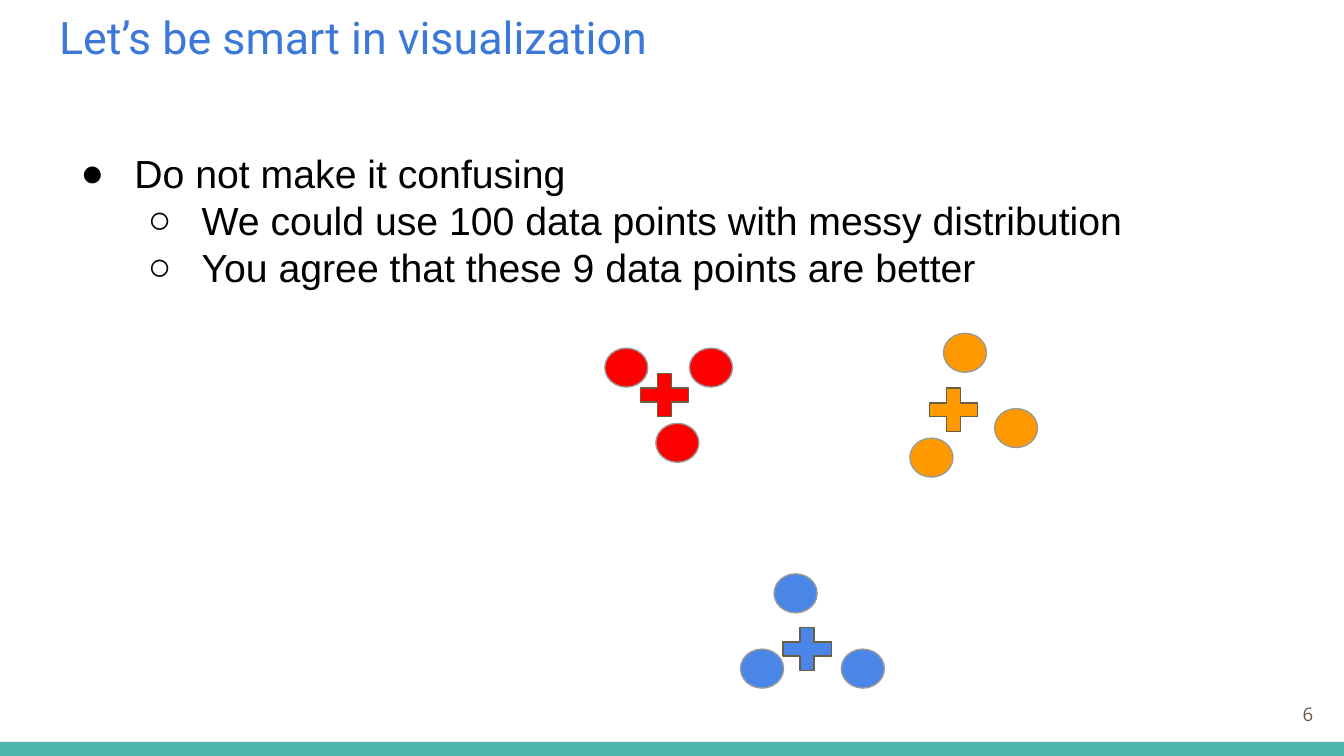
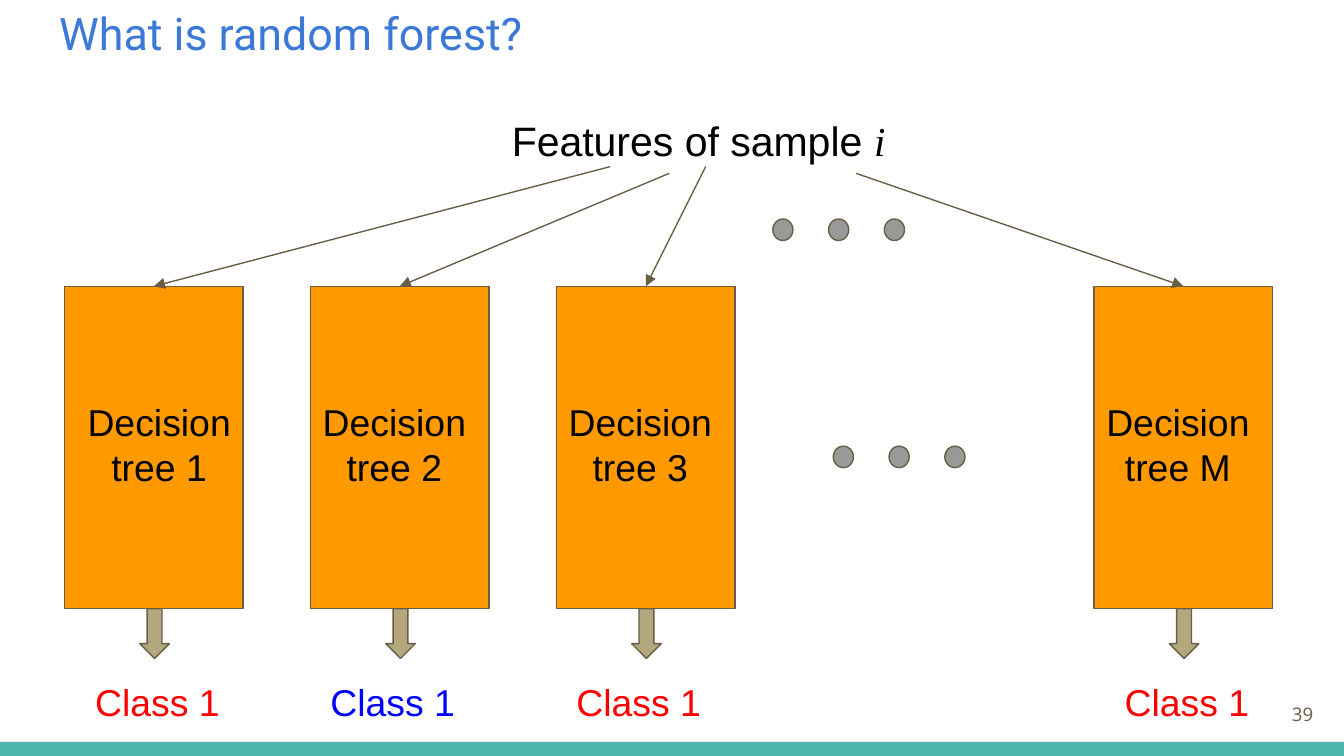
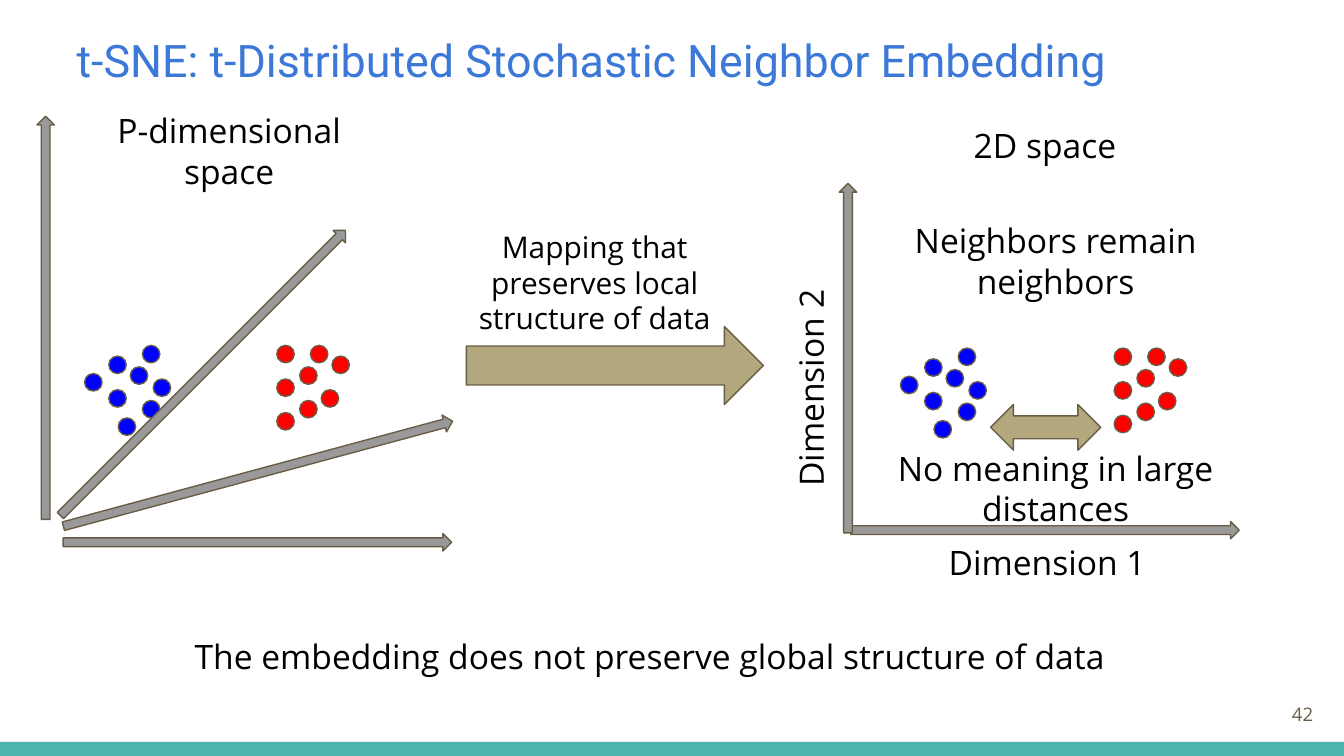
from lxml import etree
from pptx import Presentation
from pptx.dml.color import RGBColor
from pptx.enum.shapes import MSO_CONNECTOR, MSO_SHAPE as SHAPE
from pptx.enum.text import MSO_ANCHOR as ANCHOR, MSO_AUTO_SIZE, PP_ALIGN as ALIGN
from pptx.oxml.ns import qn
from pptx.util import Inches, Pt

COLORS = {
    "band": "4DB6AC", "title": "3C78D8", "text": "000000", "outline": "695D46",
    "gray": "999999", "sand": "B3A77D", "orange": "FF9900", "red": "FF0000",
    "blue": "0000FF", "sky": "4A86E8",
}
RGB = {name: RGBColor.from_string(value) for name, value in COLORS.items()}


def write(sp, text, size=18, color="text", font="Open Sans", align=ALIGN.LEFT,
          anchor=ANCHOR.TOP, spacing=1.0):
    """Fill a shape with text, one paragraph for each line."""
    tf = sp.text_frame
    tf.word_wrap = True
    tf.auto_size = MSO_AUTO_SIZE.NONE
    tf.vertical_anchor = anchor
    tf.margin_left = tf.margin_right = tf.margin_top = tf.margin_bottom = Inches(0.1)
    tf.text = text
    for p in tf.paragraphs:
        p.alignment = align
        p.line_spacing = spacing
        p.space_before = Pt(0)
        r = p.runs[0]
        r.font.size = Pt(size)
        r.font.name = font
        r.font.color.rgb = RGB[color]
    return tf


def draw(s, kind, box, fill, line="outline", rotation=0):
    sp = s.shapes.add_shape(kind, *map(Inches, box))
    sp.shadow.inherit = False
    sp.rotation = rotation
    sp.fill.solid()
    sp.fill.fore_color.rgb = RGB[fill]
    if line:
        sp.line.color.rgb = RGB[line]
        sp.line.width = Pt(0.75)
    else:
        sp.line.fill.background()
    return sp


prs = Presentation()
prs.slide_width, prs.slide_height = Inches(10), Inches(10 * 9 / 16)

# Shared parts: title, page number and the band on the master
TITLE_AND_BODY, TITLE_ONLY = prs.slide_layouts[1], prs.slide_layouts[5]
PAGES = [
    (TITLE_AND_BODY, "Let’s be smart in visualization", (0.34, -0.09, 9.32, 1.2), 1.15, "6"),
    (TITLE_ONLY, "What is random forest?", (0.34, -0.12, 9.32, 0.95), 1.15, "39"),
    (TITLE_ONLY, "t-SNE: t-Distributed Stochastic Neighbor Embedding",
     (0.47, 0.14, 9.16, 0.48), 1.0, "42"),
]
for layout, title, box, spacing, number in PAGES:
    s = prs.slides.add_slide(layout)
    sp = s.shapes.title
    sp.left, sp.top, sp.width, sp.height = map(Inches, box)
    write(sp, title, size=24, color="title", font="Roboto", spacing=spacing)
    sp = s.shapes.add_textbox(*map(Inches, (9.27, 5.1, 0.6, 0.43)))
    write(sp, number, size=10, color="outline", align=ALIGN.RIGHT, anchor=ANCHOR.MIDDLE)
clusters, forest, tsne = prs.slides

band = draw(clusters, SHAPE.RECTANGLE, (0, 5.52, 10, 0.11), "band", line=None)
prs.slide_master.shapes.element.append(band.element)

# Slide 1: bullets and three clusters with their centres
sp = clusters.placeholders[1]
sp.left, sp.top, sp.width, sp.height = map(Inches, (0.4, 1.01, 9.02, 1.2))
tf = write(sp, "Do not make it confusing\n"
               "We could use 100 data points with messy distribution\n"
               "You agree that these 9 data points are better", size=21, font="Arial")
for p, level in zip(tf.paragraphs, (0, 1, 1)):
    p.level = level
    pPr = p._p.get_or_add_pPr()
    pPr.set("marL", str(Inches(0.5 * (level + 1))))
    pPr.set("indent", str(Inches(-0.4)))
    bullet_color = etree.SubElement(pPr, qn("a:buClr"))
    etree.SubElement(bullet_color, qn("a:srgbClr"), val=COLORS["text"])
    etree.SubElement(pPr, qn("a:buChar"), char="●○"[level])

CLUSTERS = [
    ("red", (4.7, 2.72), [(4.5, 2.59), (5.13, 2.59), (4.88, 3.15)]),
    ("sky", (5.76, 4.61), [(5.76, 4.27), (6.26, 4.83), (5.51, 4.83)]),
    ("orange", (6.85, 2.83), [(6.77, 3.26), (7.02, 2.48), (7.4, 3.04)]),
]
for color, center, points in CLUSTERS:
    for point in points:
        draw(clusters, SHAPE.OVAL, (*point, 0.32, 0.29), color, line="gray")
    draw(clusters, SHAPE.MATH_PLUS, (*center, 0.49, 0.44), color)

# Slide 2: one column per tree
sp = forest.shapes.add_textbox(*map(Inches, (3.71, 0.76, 3.07, 0.57)))
p = write(sp, "Features of sample ", size=22, font="Arial").paragraphs[0]
r = p.add_run()
r.text = "i"
r.font.size, r.font.name, r.font.italic = Pt(22), "Times New Roman", True
r.font.color.rgb = RGB["text"]

# tree, left, label left, class left, class colour, arrow start
TREES = [
    ("1", 0.48, 0.52, 0.61, "red", (4.54, 1.24)),
    ("2", 2.31, 2.27, 2.36, "blue", (4.98, 1.29)),
    ("3", 4.14, 4.1, 4.19, "red", (5.25, 1.24)),
    ("M", 8.14, 8.1, 8.27, "red", (6.37, 1.29)),
]
for tree, left, label_left, class_left, color, start in TREES:
    rect = draw(forest, SHAPE.RECTANGLE, (left, 2.13, 1.33, 2.4), "orange")
    line = forest.shapes.add_connector(
        MSO_CONNECTOR.STRAIGHT, *map(Inches, (*start, left + 0.67, 2.13)))
    line.end_connect(rect, 0)
    line.line.color.rgb = RGB["outline"]
    line.line.width = Pt(0.75)
    spPr = line.element.spPr
    etree.SubElement(spPr.find(qn("a:ln")), qn("a:tailEnd"), type="triangle")
    etree.SubElement(spPr, qn("a:effectLst"))
    sp = forest.shapes.add_textbox(*map(Inches, (label_left, 2.87, 1.33, 0.84)))
    write(sp, f"Decision tree {tree}", size=20, font="Arial", align=ALIGN.CENTER)
    draw(forest, SHAPE.DOWN_ARROW, (left + 0.56, 4.53, 0.22, 0.37), "sand")
    sp = forest.shapes.add_textbox(*map(Inches, (class_left, 4.95, 1.16, 0.42)))
    write(sp, "Class 1", size=20, color=color, font="Arial")

for left, top in [(5.75, 1.63), (6.2, 3.32)]:
    for i in range(3):
        draw(forest, SHAPE.OVAL, (left + i * 0.83 / 2, top, 0.15, 0.16), "gray")

# Slide 3: axes, the same two groups in both spaces, arrows and labels
AXES = [
    ((6.33, 3.88, 2.89, 0.13), 0), ((5.01, 2.6, 2.6, 0.13), 270),
    ((0.47, 3.97, 2.89, 0.13), 0), ((0.42, 3.46, 3, 0.13), 344.9),
    ((0.01, 2.71, 3, 0.13), 315), ((-1.16, 2.3, 3, 0.13), 270),
]
BLUE_GROUP = [(0.43, 0.41), (0.34, 0.16), (0.18, 0.33), (0.18, 0.08),
              (0.51, 0.25), (0.43, 0), (0.25, 0.54), (0, 0.21)]
RED_GROUP = [(0.25, 0), (0.41, 0.08), (0.17, 0.16), (0.17, 0.41),
             (0.33, 0.33), (0, 0.25), (0, 0), (0, 0.5)]
GROUPS = [
    ("blue", 0.63, 2.57, BLUE_GROUP), ("red", 2.06, 2.57, RED_GROUP),
    ("blue", 6.7, 2.59, BLUE_GROUP), ("red", 8.29, 2.59, RED_GROUP),
]
for color, left, top, offsets in GROUPS:
    for dx, dy in offsets:
        draw(tsne, SHAPE.FLOWCHART_CONNECTOR, (left + dx, top + dy, 0.13, 0.13), color)
for box, rotation in AXES:
    draw(tsne, SHAPE.RIGHT_ARROW, box, "gray", rotation=rotation)
draw(tsne, SHAPE.RIGHT_ARROW, (3.47, 2.43, 2.21, 0.58), "sand")
draw(tsne, SHAPE.LEFT_RIGHT_ARROW, (7.37, 3.01, 0.82, 0.34), "sand")

LABELS = [
    ("Dimension 1", (6.96, 3.93, 1.79, 0.47), 18, ALIGN.LEFT, 0),
    ("Dimension 2", (5.12, 2.59, 1.79, 0.47), 18, ALIGN.LEFT, 270),
    ("Mapping that preserves local structure of data",
     (3.35, 1.6, 2.15, 1.05), 16, ALIGN.CENTER, 0),
    ("P-dimensional space", (0.71, 0.72, 1.99, 0.67), 18, ALIGN.CENTER, 0),
    ("2D space", (6.78, 0.83, 1.99, 0.56), 18, ALIGN.CENTER, 0),
    ("Neighbors remain neighbors", (6.23, 1.54, 3.25, 0.56), 18, ALIGN.CENTER, 0),
    ("No meaning in large distances", (6.23, 3.23, 3.25, 0.56), 18, ALIGN.CENTER, 0),
    ("The embedding does not preserve global structure of data",
     (1.35, 4.63, 7.11, 0.86), 18, ALIGN.LEFT, 0),
]
for text, box, size, align, rotation in LABELS:
    sp = tsne.shapes.add_textbox(*map(Inches, box))
    sp.rotation = rotation
    write(sp, text, size=size, align=align)

prs.save("out.pptx")
